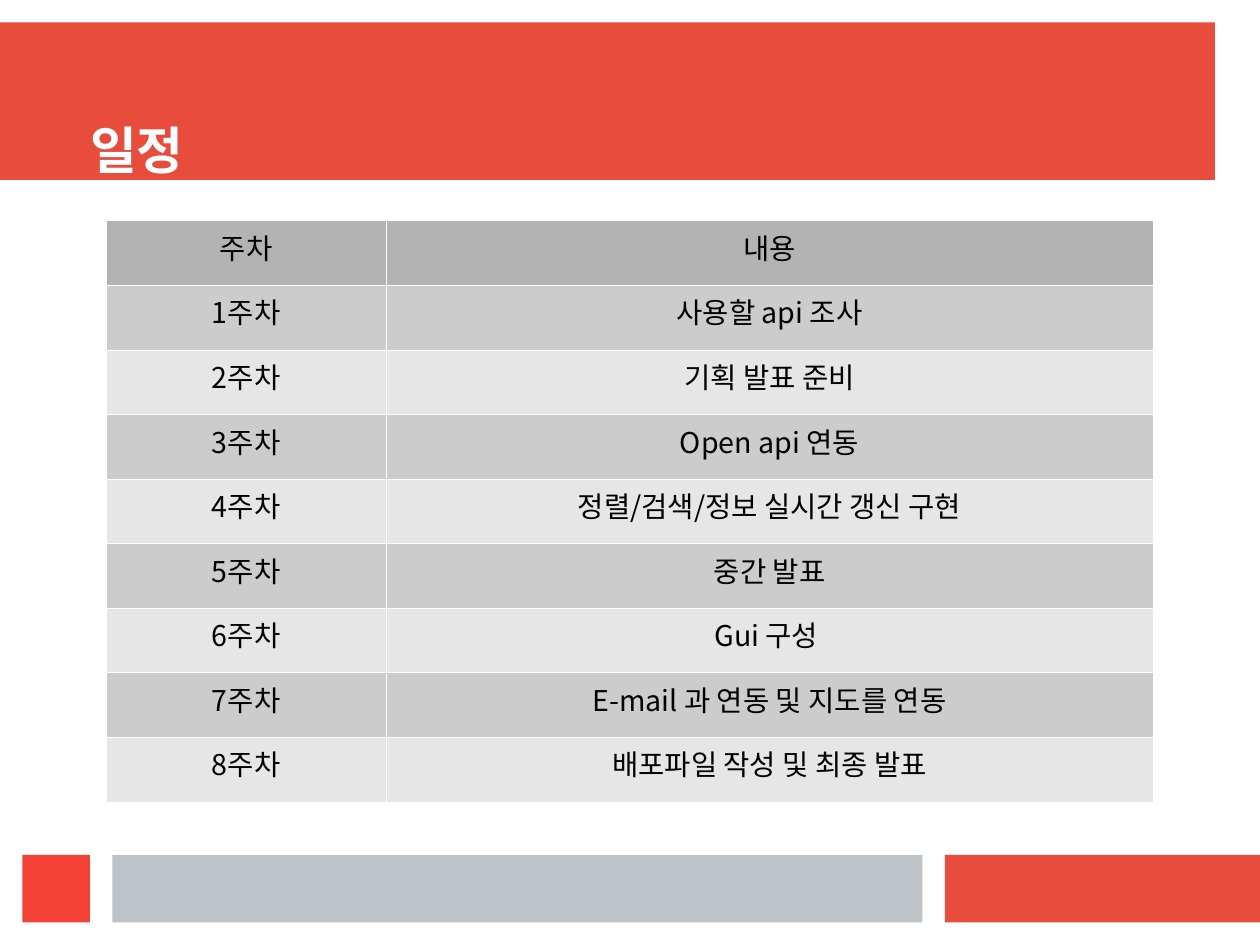
from lxml import etree
from pptx import Presentation
from pptx import util as u
from pptx.dml.color import RGBColor
from pptx.enum import shapes, text
from pptx.oxml.ns import qn

TITLE = "일정 "
HEADER = ("주차", "내용")
WEEKS = [
    "사용할 api 조사",
    "기획 발표 준비",
    "Open api 연동",
    "정렬/검색/정보 실시간 갱신 구현",
    "중간 발표",
    "Gui 구성 ",
    "E-mail 과 연동 및 지도를 연동",
    "배포파일 작성 및 최종 발표",
]
WIDTH, HEIGHT = 28, 21
FOOTER_TOP, FOOTER_HEIGHT = 19, 1.5
BARS = [
    (0, 0.5, 27, 3.5, "E74C3C"),
    (21, FOOTER_TOP, 7, FOOTER_HEIGHT, "E74C3C"),
    (2.5, FOOTER_TOP, 18, FOOTER_HEIGHT, "BDC3C7"),
    (0.5, FOOTER_TOP, FOOTER_HEIGHT, FOOTER_HEIGHT, "F44336"),
]
TITLE_BOX = (2, 0, 23.8, 4)
TABLE_LEFT, TABLE_TOP, TABLE_HEIGHT = 2.36, 4.9, 12.92
COLUMNS = (6.22, 17.04)
HEADER_FILL, ROW_FILLS = "B3B3B3", ("CCCCCC", "E6E6E6")
KOREAN_FONT, TITLE_FONT = "Noto Sans CJK KR", "Karla"


def color(value):
    return RGBColor.from_string(value)


def format_text(paragraph, size, font_name, value, bold=False):
    for run in paragraph.runs:
        font = run.font
        font.size, font.name, font.bold = u.Pt(size), font_name, bold
        font.color.rgb = color(value)
        latin = run._r.get_or_add_rPr().find(qn("a:latin"))
        latin.addnext(etree.Element(qn("a:ea"), typeface=KOREAN_FONT))


def add_borders(cell, value, points):
    properties = cell._tc.get_or_add_tcPr()
    for side in ("lnL", "lnR", "lnT", "lnB"):
        line = etree.SubElement(properties, qn(f"a:{side}"), w=str(int(u.Pt(points))))
        fill = etree.SubElement(line, qn("a:solidFill"))
        etree.SubElement(fill, qn("a:srgbClr"), val=value)


def add_bar(slide, left, top, width, height, fill):
    bar = slide.shapes.add_shape(
        shapes.MSO_SHAPE.RECTANGLE, *map(u.Cm, (left, top, width, height)))
    bar.shadow.inherit = False
    bar.fill.solid()
    bar.fill.fore_color.rgb = color(fill)
    bar.line.fill.background()


def place_title(slide):
    title = slide.shapes.title
    title.left, title.top, title.width, title.height = map(u.Cm, TITLE_BOX)
    frame = title.text_frame
    frame.text = TITLE
    frame.margin_left = frame.margin_top = frame.margin_right = frame.margin_bottom = 0
    frame.vertical_anchor = text.MSO_ANCHOR.BOTTOM
    frame.auto_size = text.MSO_AUTO_SIZE.NONE
    frame.paragraphs[0].alignment = text.PP_ALIGN.LEFT
    format_text(frame.paragraphs[0], 32, TITLE_FONT, "FFFFFF", bold=True)
    slide.shapes.element.append(title.element)


def add_schedule(slide):
    rows = [HEADER] + [(f"{week}주차", task) for week, task in enumerate(WEEKS, 1)]
    table = slide.shapes.add_table(
        len(rows), len(COLUMNS),
        *map(u.Cm, (TABLE_LEFT, TABLE_TOP, sum(COLUMNS), TABLE_HEIGHT))).table
    for column, width in zip(table.columns, COLUMNS):
        column.width = u.Cm(width)
    for row_index, row in enumerate(rows):
        fill = ROW_FILLS[(row_index - 1) % 2] if row_index else HEADER_FILL
        for column_index, wording in enumerate(row):
            cell = table.cell(row_index, column_index)
            add_borders(cell, "FFFFFF", 0.06)
            cell.fill.solid()
            cell.fill.fore_color.rgb = color(fill)
            cell.text_frame.text = wording
            paragraph = cell.text_frame.paragraphs[0]
            paragraph.alignment = text.PP_ALIGN.CENTER
            format_text(paragraph, 18, KOREAN_FONT, "000000")


presentation = Presentation()
presentation.slide_width, presentation.slide_height = u.Cm(WIDTH), u.Cm(HEIGHT)
slide = presentation.slides.add_slide(presentation.slide_layouts[5])
for bar in BARS:
    add_bar(slide, *bar)
place_title(slide)
add_schedule(slide)
presentation.save("out.pptx")
